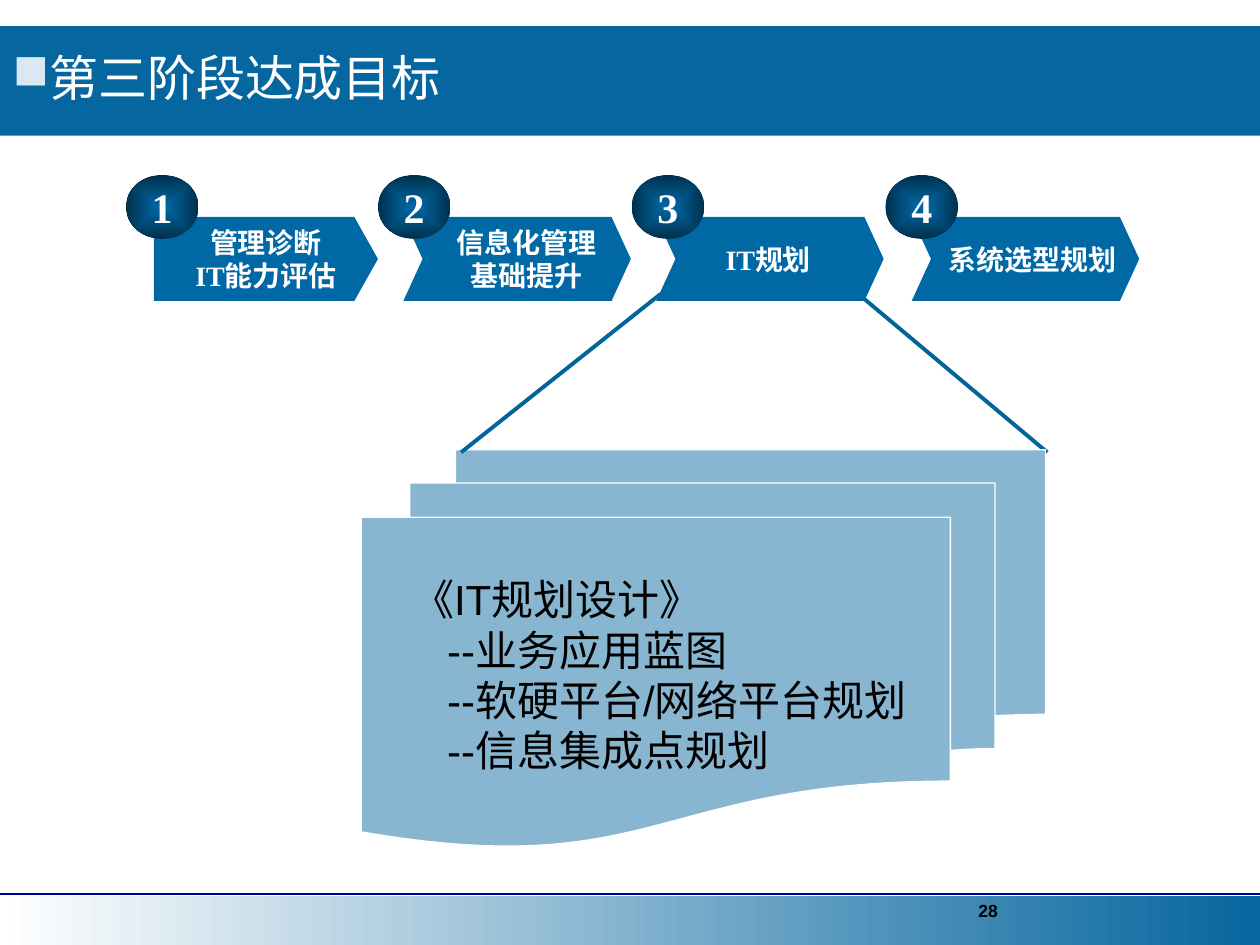
from lxml import etree
from pptx import Presentation
from pptx.dml.color import RGBColor
from pptx.enum.shapes import MSO_CONNECTOR as Link, MSO_SHAPE as Shape
from pptx.enum.text import MSO_ANCHOR as Anchor, MSO_AUTO_SIZE as Fit, PP_ALIGN as Align
from pptx.oxml import parse_xml
from pptx.oxml.ns import nsdecls, qn
from pptx.util import Pt

WHITE = RGBColor(0xFF, 0xFF, 0xFF)
BLACK = RGBColor(0, 0, 0)
BAND = RGBColor(0x06, 0x66, 0x9F)
NAVY = RGBColor(0, 0, 0x99)
ARROW = RGBColor(0, 0x68, 0xA5)
DARK = RGBColor(0, 0x30, 0x4C)
PAPER = RGBColor(0x88, 0xB6, 0xD1)
LINE = RGBColor(0, 0x66, 0x99)
SERIF = "Times New Roman"

# Arrow left, width, tip depth, notch depth, badge left, label centre, label lines
STEPS = [
    (88, 128, 13.5, 0, 72, 152, ["管理诊断", "IT能力评估"]),
    (230.5, 130, 11, 11, 216, 301, ["信息化管理", "基础提升"]),
    (375, 130, 11, 11, 361, 439, ["IT规划"]),
    (521, 130, 11, 11, 506, 590, ["系统选型规划"]),
]
PLAN = ["《IT规划设计》", "--业务应用蓝图", "--软硬平台/网络平台规划", "--信息集成点规划"]


def write(shape, lines, size, color, name="Arial", bold=False, align=Align.LEFT):
    frame = shape.text_frame
    frame.word_wrap = False
    frame.vertical_anchor = Anchor.MIDDLE
    frame.text = "\n".join(lines)
    for para in frame.paragraphs:
        para.alignment = align
        font = para.font
        font.size, font.name, font.bold = Pt(size), name, bold
        font.color.rgb = color
    return frame


def paint(shape, color):
    shape.shadow.inherit = False
    shape.fill.solid()
    shape.fill.fore_color.rgb = color
    shape.line.fill.background()


def blend(shape, first, last):
    shape.shadow.inherit = False
    shape.line.fill.background()
    shape.fill.gradient()
    shape.fill.gradient_angle = 0
    for stop, color, place in zip(shape.fill.gradient_stops, (first, last), (0, 1)):
        stop.color.rgb = color
        stop.position = place


def add_line(slide, x1, y1, x2, y2, color, width):
    line = slide.shapes.add_connector(Link.STRAIGHT, Pt(x1), Pt(y1), Pt(x2), Pt(y2))
    line.line.color.rgb = color
    line.line.width = Pt(width)
    etree.SubElement(line._element.spPr, qn("a:effectLst"))


def add_title(slide, x, y, w, h):
    title = slide.shapes.title
    title.left, title.top, title.width, title.height = Pt(x), Pt(y), Pt(w), Pt(h)
    title.fill.solid()
    title.fill.fore_color.rgb = BAND
    frame = title.text_frame
    frame.text = "第三阶段达成目标"
    frame.auto_size = Fit.NONE
    frame.word_wrap = True
    frame.vertical_anchor = Anchor.MIDDLE
    para = frame.paragraphs[0]
    para.alignment = Align.LEFT
    para.line_spacing = 0.9
    # Square bullet with a hanging indent
    props = para._p.get_or_add_pPr()
    props.set("marL", str(Pt(21)))
    props.set("indent", str(Pt(-21)))
    props.append(parse_xml(f'<a:buClr {nsdecls("a")}><a:srgbClr val="DAE8F1"/></a:buClr>'))
    props.append(parse_xml(f'<a:buChar {nsdecls("a")} char="■"/>'))
    font = para.font
    font.size, font.name = Pt(28), "Arial"
    font.color.rgb = WHITE


def add_footer(slide, x, y, w, h):
    strip = slide.shapes.add_shape(Shape.RECTANGLE, Pt(x), Pt(y), Pt(w), Pt(h))
    blend(strip, WHITE, BAND)
    add_line(slide, x, y - 1, x + w, y - 1, NAVY, 1)
    # Page number
    box = slide.shapes.add_textbox(Pt(x + 552), Pt(y - 1.5), Pt(168), Pt(26))
    frame = write(box, ["28"], 10, BLACK, bold=True)
    frame.vertical_anchor = Anchor.TOP
    frame.word_wrap = True


def add_step(slide, number, y, h, step):
    x, w, tip, notch, badge, centre, lines = step
    # Arrow
    points = [(x + w - tip, y), (x + w, y + h / 2), (x + w - tip, y + h), (x, y + h)]
    if notch:
        points.append((x + notch, y + h / 2))
    pen = slide.shapes.build_freeform(Pt(x), Pt(y), scale=1.0)
    pen.add_line_segments([(Pt(a), Pt(b)) for a, b in points], close=True)
    paint(pen.convert_to_shape(), ARROW)
    # Numbered badge, shaded from its centre
    oval = slide.shapes.add_shape(Shape.OVAL, Pt(badge), Pt(y - 24), Pt(41.5), Pt(36.5))
    blend(oval, ARROW, DARK)
    grad = oval._element.spPr.find(qn("a:gradFill"))
    grad.replace(grad.find(qn("a:lin")), parse_xml(
        f'<a:path {nsdecls("a")} path="rect">'
        '<a:fillToRect l="50000" t="50000" r="50000" b="50000"/></a:path>'))
    write(oval, [str(number)], 24, WHITE, SERIF, True, Align.CENTER)
    # Label
    label = slide.shapes.add_textbox(Pt(centre - 65), Pt(y + 3.5), Pt(130), Pt(41))
    write(label, lines, 16, WHITE, SERIF, True, Align.CENTER)


def add_plan(slide, x, y, w, h):
    stack = slide.shapes.add_shape(
        Shape.FLOWCHART_MULTIDOCUMENT, Pt(x), Pt(y), Pt(w), Pt(h))
    paint(stack, PAPER)
    stack.line.color.rgb = WHITE
    stack.line.width = Pt(0.75)
    frame = write(stack, PLAN, 24, BLACK)
    frame.margin_left = frame.margin_right = frame.margin_top = frame.margin_bottom = 0
    for row, para in enumerate(frame.paragraphs):
        props = para._p.get_or_add_pPr()
        props.set("marL", str(Pt(49 if row else 29)))
        props.set("indent", "0")


def main():
    deck = Presentation()
    deck.slide_width, deck.slide_height = Pt(720), Pt(540)
    slide = deck.slides.add_slide(deck.slide_layouts[5])
    add_title(slide, 0, 15, 720, 62.5)
    add_footer(slide, 0, 512, 720, 29.5)
    # The right guide runs behind the stack, the left one in front
    add_line(slide, 490.5, 168, 598.5, 258.5, LINE, 2.25)
    for number, step in enumerate(STEPS, 1):
        add_step(slide, number, 124, 48, step)
    add_plan(slide, 206.5, 257, 391, 227)
    add_line(slide, 377.5, 168, 263.5, 258.5, LINE, 2.25)
    deck.save("out.pptx")


if __name__ == "__main__":
    main()
